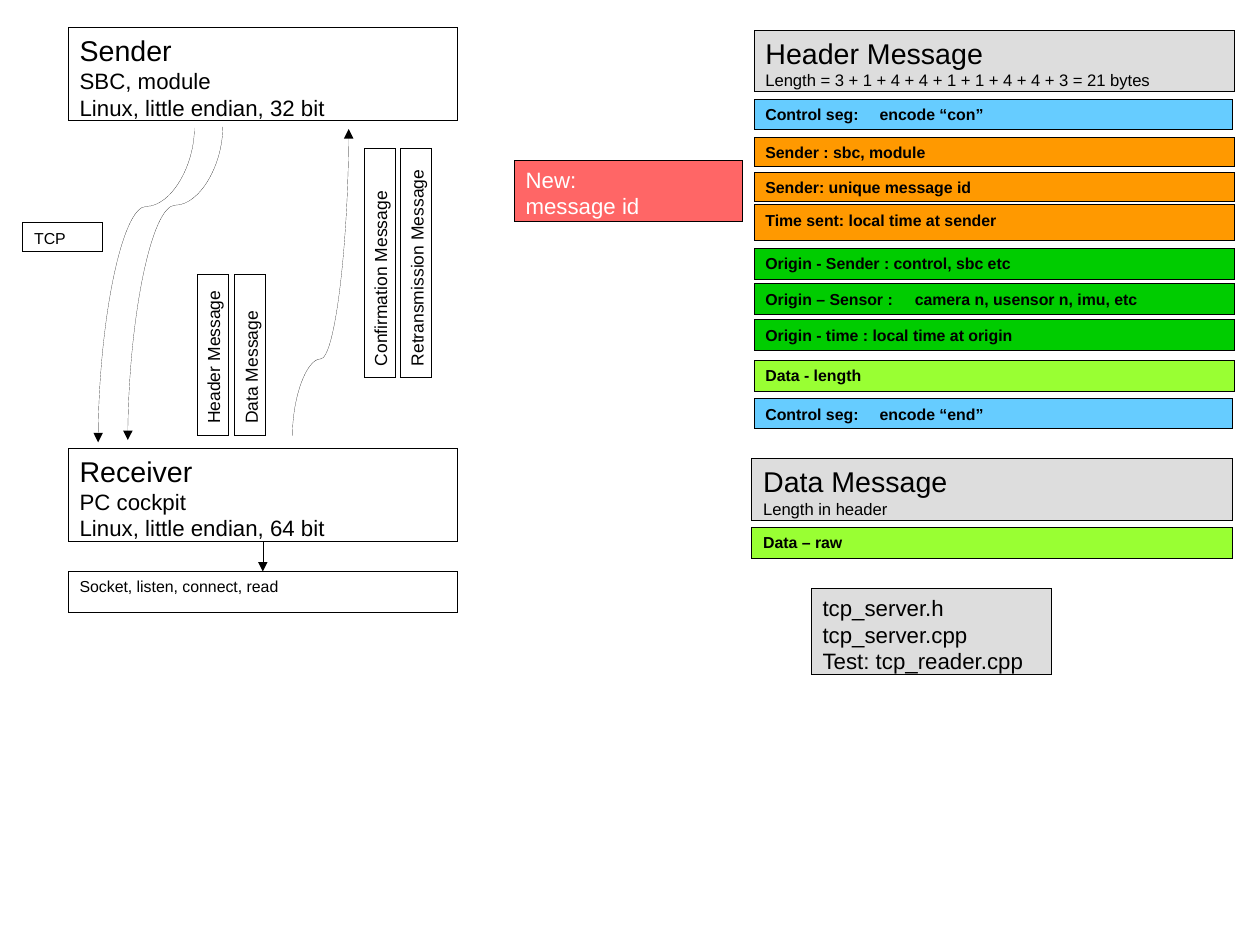
from lxml.etree import SubElement
from pptx import Presentation
from pptx.dml.color import RGBColor
from pptx.enum.shapes import MSO_CONNECTOR as Link, MSO_SHAPE as Shape
from pptx.enum.text import MSO_ANCHOR as Anchor, PP_ALIGN as Align
from pptx.oxml.ns import qn
from pptx.util import Cm, Pt

BLACK, WHITE, GREY = "000000", "FFFFFF", "DDDDDD"
RED, BLUE, AMBER, GREEN, LIME = "FF6666", "66CCFF", "FF9900", "00CC00", "99FF33"


def tint(code):
    """Turn a hex string into a colour."""
    return RGBColor.from_string(code)


def write(frame, text, sizes=(10,), color=BLACK, bold=False, tab=2.54):
    """Fill a frame with one paragraph per line; the last size carries on."""
    frame.word_wrap = True
    frame.vertical_anchor = Anchor.TOP
    for i, line in enumerate(text.split("\n")):
        para = frame.add_paragraph() if i else frame.paragraphs[0]
        para.alignment = Align.LEFT
        if "\t" in line:
            tabs = SubElement(para._p.get_or_add_pPr(), qn("a:tabLst"))
            SubElement(tabs, qn("a:tab"), pos=str(Cm(tab)), algn="l")
        run = para.add_run()
        run.text = line
        font = run.font
        font.name, font.bold = "Arial", bold
        font.size = Pt(sizes[min(i, len(sizes) - 1)])
        font.color.rgb = tint(color)


def hair(item):
    """Give a shape or connector a black hairline and return its element."""
    item.line.color.rgb = tint(BLACK)
    edge = item._element.spPr.find(qn("a:ln"))
    edge.set("w", "0")
    return edge


def box(slide, left, top, width, height, text, fill=None, **style):
    """Draw a thin-lined rectangle with text."""
    rect = slide.shapes.add_shape(
        Shape.RECTANGLE, Cm(left), Cm(top), Cm(width), Cm(height))
    rect.shadow.inherit = False
    if fill:
        rect.fill.solid()
        rect.fill.fore_color.rgb = tint(fill)
    else:
        rect.fill.background()
    hair(rect)
    write(rect.text_frame, text, **style)
    return rect


def strip(slide, left, top, width, height, text):
    """Draw an upright box whose text reads upwards."""
    shift = (height - width) / 2
    rect = box(slide, left - shift, top + shift, height, width, text, sizes=(11,))
    rect.rotation = 270


def arrow(slide, kind, x1, y1, x2, y2):
    """Draw a hairline connector with a triangle at its end."""
    line = slide.shapes.add_connector(kind, Cm(x1), Cm(y1), Cm(x2), Cm(y2))
    SubElement(hair(line), qn("a:tailEnd"), type="triangle")
    SubElement(line._element.spPr, qn("a:effectLst"))
    return line


def bend(slide, x1, y1, x2, y2):
    """Draw a curved arrow that leaves and arrives vertically."""
    midx, midy = (x1 + x2) / 2, (y1 + y2) / 2
    run, rise = (y2 - y1) / 2, (x1 - x2) / 2
    line = arrow(slide, Link.CURVE, midx - run, midy - rise, midx + run, midy + rise)
    props = line._element.spPr
    props.find(qn("a:xfrm")).set("rot", "5400000")
    guides = props.find(qn("a:prstGeom")).find(qn("a:avLst"))
    SubElement(guides, qn("a:gd"), name="adj1", fmla="val 25000")


def flow(slide, left, top, width):
    """Draw the sender, the receiver and the traffic between them."""
    box(slide, left, top, width, 2.08,
        "Sender\nSBC, module\nLinux, little endian, 32 bit", sizes=(18, 14))
    peer = box(slide, left, top + 9.35, width, 2.08,
               "Receiver\nPC cockpit\nLinux, little endian, 64 bit", sizes=(18, 14))
    sock = box(slide, left, top + 12.09, width, 0.91, "Socket, listen, connect, read")
    box(slide, left - 1.01, top + 4.34, 1.78, 0.64, "TCP")
    mid = left + width / 2
    drop = arrow(slide, Link.STRAIGHT, mid, top + 11.43, mid, top + 12.09)
    drop.begin_connect(peer, 2)
    drop.end_connect(sock, 0)
    for x1, y1, x2, y2 in ((2.8, 2.23, 0.66, 9.22), (3.43, 2.21, 1.32, 9.17),
                           (4.98, 9.07, 6.23, 2.26)):
        bend(slide, left + x1, top + y1, left + x2, top + y2)
    for x, y, tall, text in ((2.86, 5.5, 3.56, "Header Message"),
                             (3.7, 5.5, 3.56, "Data Message"),
                             (6.57, 2.7, 5.08, "Confirmation Message"),
                             (7.38, 2.7, 5.08, "Retransmission Message")):
        strip(slide, left + x, top + y, 0.69, tall, text)


def packet(slide, left, top, width, title, rows):
    """Draw a message heading above its coloured fields."""
    box(slide, left, top, width, 1.37, title, GREY, sizes=(18, 10.5))
    for y, height, fill, text in rows:
        wide = width - 0.05 if fill == BLUE else width
        tab = 3.32 if fill == GREEN else 2.54
        box(slide, left, top + y, wide, height, text, fill, bold=True, tab=tab)


def main():
    """Build and save the slide."""
    deck = Presentation()
    deck.slide_width, deck.slide_height = Cm(28), Cm(21)
    slide = deck.slides.add_slide(deck.slide_layouts[6])
    flow(slide, 1.52, 0.61, 8.64)
    box(slide, 11.43, 3.56, 5.08, 1.37, "New:\nmessage id", RED,
        sizes=(14,), color=WHITE)
    packet(slide, 16.76, 0.67, 10.67,
           "Header Message\nLength = 3 + 1 + 4 + 4 + 1 + 1 + 4 + 4 + 3 = 21 bytes", (
               (1.54, 0.66, BLUE, "Control seg:\tencode “con”"),
               (2.38, 0.66, AMBER, "Sender : sbc, module"),
               (3.16, 0.66, AMBER, "Sender: unique message id"),
               (3.88, 0.79, AMBER, "Time sent: local time at sender"),
               (4.85, 0.69, GREEN, "Origin - Sender : control, sbc etc"),
               (5.64, 0.69, GREEN, "Origin – Sensor :\tcamera n, usensor n, imu, etc"),
               (6.44, 0.69, GREEN, "Origin - time : local time at origin"),
               (7.34, 0.69, LIME, "Data - length"),
               (8.19, 0.66, BLUE, "Control seg:\tencode “end”")))
    packet(slide, 16.71, 10.19, 10.67, "Data Message\nLength in header",
           ((1.53, 0.69, LIME, "Data – raw"),))
    box(slide, 18.03, 13.08, 5.33, 1.9,
        "tcp_server.h\ntcp_server.cpp\nTest: tcp_reader.cpp", GREY, sizes=(14,))
    deck.save("out.pptx")


if __name__ == "__main__":
    main()
